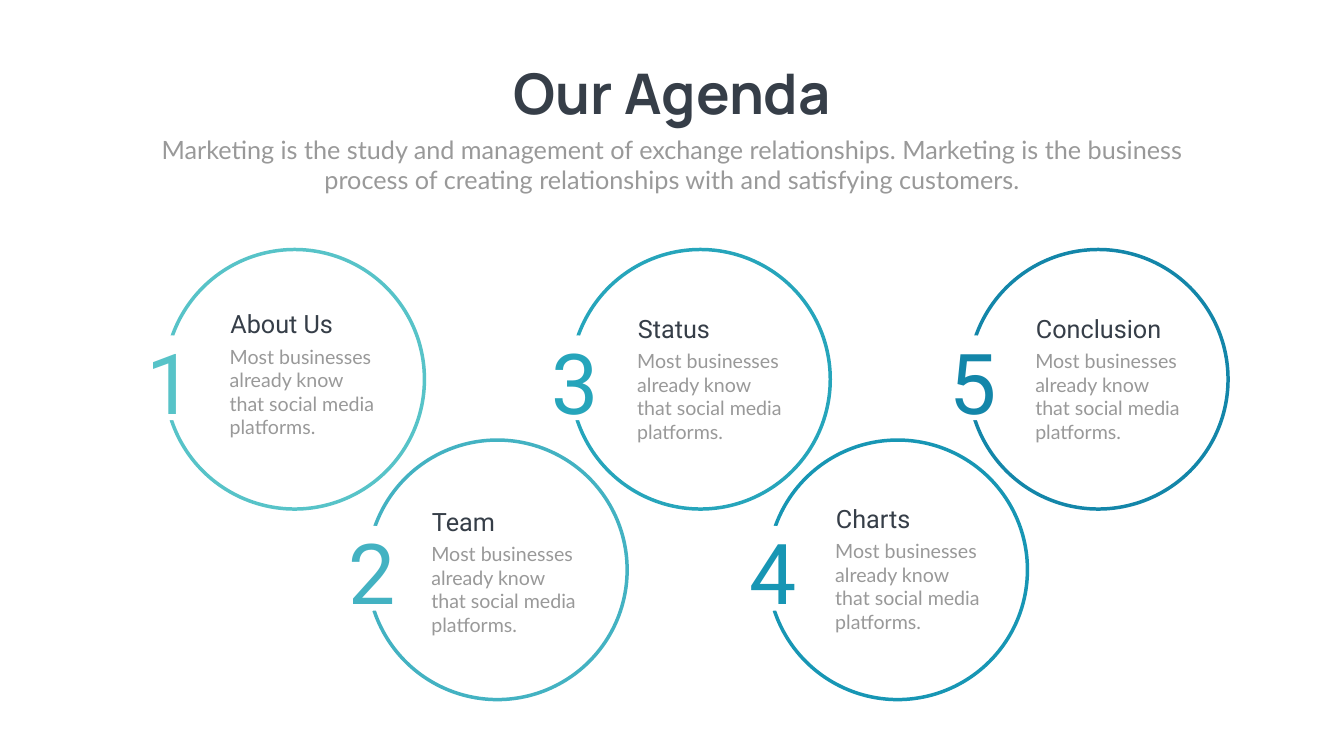
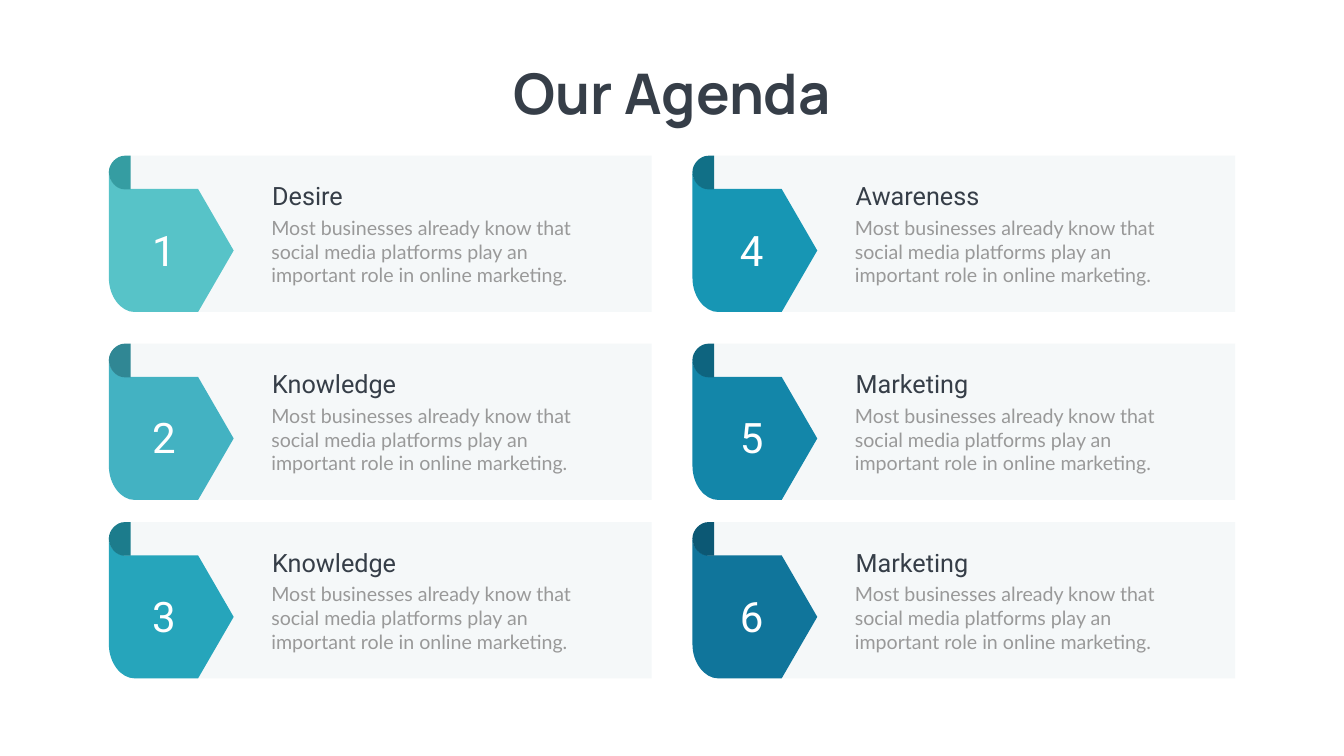
import pptx
import pptx.util
import pptx.dml.color
import pptx.enum.shapes
import pptx.enum.text
import pptx.oxml.ns

Pt = pptx.util.Pt
RGB = pptx.dml.color.RGBColor.from_string
qn = pptx.oxml.ns.qn
SHAPE = pptx.enum.shapes.MSO_SHAPE
ALIGN = pptx.enum.text.PP_ALIGN

THEME = {
    "accents": ["57C3C8", "43B2C2", "26A5BB", "1796B4", "1386A9", "10759B"],
    "folds": ["359DA2", "308794", "1C7C8C", "117087", "0E647F", "0C5874"],
    "dark": "363E48",
    "grey": "999999",
    "card": "F5F8F9",
    "white": "FFFFFF",
    "title": {"name": "Manrope", "size": Pt(80), "bold": True},
    "subtitle": {"name": "Lato", "size": Pt(36)},
    "heading": {"name": "Roboto", "size": Pt(36)},
    "body": {"name": "Lato", "size": Pt(28)},
    "big_number": {"name": "Roboto", "size": Pt(120)},
    "number": {"name": "Roboto", "size": Pt(60)},
}


def add_text(s, text, box, style, color, align=ALIGN.LEFT, wrap=True):
    """Add a one-paragraph text box; box is left, top, width, height in points."""
    tf = s.shapes.add_textbox(*map(Pt, box)).text_frame
    frame = {"word_wrap": wrap, "vertical_anchor": pptx.enum.text.MSO_ANCHOR.MIDDLE}
    for key, value in frame.items():
        setattr(tf, key, value)
    p = tf.paragraphs[0]
    p.alignment = align
    r = p.add_run()
    r.text = text
    for key, value in THEME[style].items():
        setattr(r.font, key, value)
    r.font.color.rgb = RGB(color)


def add_outline(s, left, top, start, segments):
    """Add a closed freeform; a segment of one point is a line, of three a Bezier curve."""
    points = [(Pt(left + x), Pt(top + y))
              for x, y in [start] + [point for segment in segments for point in segment]]
    builder = s.shapes.build_freeform(*points[0])
    builder.add_line_segments(points[1:], close=True)
    sp = builder.convert_to_shape()
    lines = iter(list(sp.element.iter(qn("a:lnTo"))))
    for segment in segments:
        first, *others = [next(lines) for _ in segment]
        if others:
            first.tag = qn("a:cubicBezTo")
        for line in others:
            first.append(line[0])
            line.getparent().remove(line)
    return sp


prs = pptx.Presentation()
prs.slide_width, prs.slide_height = Pt(1919.52), Pt(1080)
agenda_circles, agenda_cards = [prs.slides.add_slide(prs.slide_layouts[6]) for _ in range(2)]
for s in (agenda_circles, agenda_cards):
    add_text(s, "Our Agenda", (704.2, 79.8, 512, 104.4), "title", THEME["dark"],
             ALIGN.CENTER, wrap=False)

# Slide 1: five numbered circles in a zigzag
s = agenda_circles
add_text(s, "Marketing is the study and management of exchange relationships. "
         "Marketing is the business process of creating relationships with and "
         "satisfying customers.",
         (210.2, 187.9, 1499, 94.3), "subtitle", THEME["grey"], ALIGN.CENTER)

DIAMETER = 370.8
ROW_TOPS = (356.4, 628.6)
# heading, circle left, text left, text top, heading width
steps = [
    ("About Us", 235.4, 320.9, 437, 223.2),
    ("Team", 524.9, 608.9, 719.3, 223.2),
    ("Status", 815, 903, 443.5, 223.2),
    ("Charts", 1096.6, 1185.8, 715, 265),
    ("Conclusion", 1383.1, 1471.5, 444, 265),
]
for i, (heading, left, text_left, text_top, width) in enumerate(steps):
    top, color = ROW_TOPS[i % 2], THEME["accents"][i]
    ring = s.shapes.add_shape(SHAPE.OVAL, *map(Pt, (left, top, DIAMETER, DIAMETER)))
    ring.shadow.inherit = False
    ring.fill.background()
    ring.line.color.rgb = RGB(color)
    ring.line.width = Pt(5)
    gap = s.shapes.add_shape(SHAPE.OVAL, *map(Pt, (left - 56, top + 122.4, 121.7, 121.7)))
    gap.shadow.inherit = False
    gap.fill.solid()
    gap.fill.fore_color.rgb = RGB(THEME["white"])
    gap.line.fill.background()
    add_text(s, str(i + 1), (left - 69.4, top + 110.8, 152.6, 152.6),
             "big_number", color, ALIGN.CENTER)
    add_text(s, "Most businesses already know that social media platforms.",
             (text_left, text_top + 50.6, 224.6, 143.3), "body", THEME["grey"])
    add_text(s, heading, (text_left + 1, text_top, width, 51.1), "heading", THEME["dark"])

# Slide 2: six cards with folded number tags, filled column by column
s = agenda_cards
COLUMNS = ((155.5, 20.2), (989, 26.2))  # left, inset of the number
CARD_TOPS = (222.5, 491, 745.9)
tag_segments = [
    [(0, 200.2), (16.6, 223.2), (36.7, 223.2)],
    [(127.4, 223.2)], [(178.2, 135.4)], [(127.4, 47.5)], [(31, 47.5)], [(22.3, 47.5)],
    [(11.5, 47.5), (0, 36.7), (0, 22.3)],
]
fold_segments = [
    [(0, 36.7), (10.8, 48), (22.3, 48)],
    [(31, 48)], [(31, 0)], [(22.3, 0)],
    [(10.8, 0), (0, 11.5), (0, 23)],
]
headings = ["Desire", "Knowledge", "Knowledge", "Awareness", "Marketing", "Marketing"]
for i, heading in enumerate(headings):
    left, number_inset = COLUMNS[i // 3]
    top = CARD_TOPS[i % 3]
    card = s.shapes.add_shape(SHAPE.RECTANGLE, *map(Pt, (left + 29.2, top, 745.9, 223.2)))
    tag = add_outline(s, left, top, (0, 175), tag_segments)
    fold = add_outline(s, left, top, (0, 23), fold_segments)
    fills = [(card, THEME["card"]), (tag, THEME["accents"][i]), (fold, THEME["folds"][i])]
    for sp, color in fills:
        sp.shadow.inherit = False
        sp.fill.solid()
        sp.fill.fore_color.rgb = RGB(color)
        sp.line.fill.background()
    add_text(s, str(i + 1), (left + number_inset, top + 93.6, 116.6, 79.9),
             "number", THEME["white"], ALIGN.CENTER)
    add_text(s, "Most businesses already know that social media platforms play an "
             "important role in online marketing.",
             (left + 224.9, top + 82.1, 503.3, 108.7), "body", THEME["grey"])
    add_text(s, heading, (left + 226.1, top + 31.5, 257.8, 51.1), "heading", THEME["dark"])

prs.save("out.pptx")
